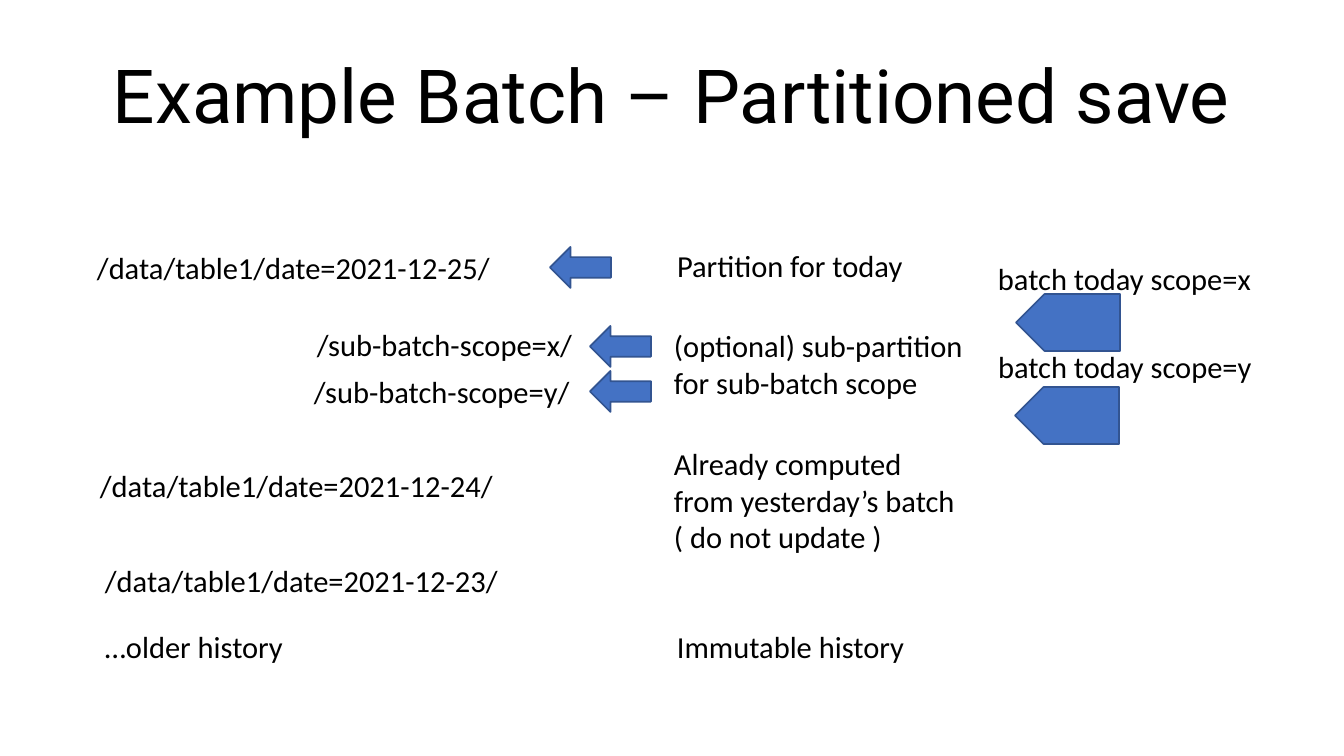
from pptx import Presentation
from pptx.dml.color import RGBColor
from pptx.enum.shapes import MSO_SHAPE
from pptx.enum.text import MSO_ANCHOR, MSO_AUTO_SIZE, PP_ALIGN
from pptx.util import Pt

EMU_PER_PX = 7495
LEFT_ARROW = MSO_SHAPE.LEFT_ARROW
PENTAGON = MSO_SHAPE.PENTAGON
MIDDLE = MSO_ANCHOR.MIDDLE
TOP = MSO_ANCHOR.TOP
NO_AUTOFIT = MSO_AUTO_SIZE.NONE
CENTER = PP_ALIGN.CENTER
LEFT = PP_ALIGN.LEFT

COLORS = {"text": "000000", "fill": "4472C4", "line": "325491"}
TITLE_FONT = {"name": "Roboto", "size": Pt(44)}
LABEL_FONT = {"name": "Calibri", "size": Pt(18)}
TITLE_FRAME = {
    "margin_left": 0, "margin_right": 0, "margin_top": 0, "margin_bottom": 0,
    "vertical_anchor": MIDDLE, "auto_size": NO_AUTOFIT, "word_wrap": True,
}
LABEL_FRAME = {"vertical_anchor": TOP, "auto_size": NO_AUTOFIT, "word_wrap": True}

LABELS = [
    (85, 243, 422, 49, ["/data/table1/date=2021-12-25/"]),
    (305, 320, 295, 49, ["/sub-batch-scope=x/"]),
    (302, 367, 307, 49, ["/sub-batch-scope=y/"]),
    (88, 461, 422, 49, ["/data/table1/date=2021-12-24/"]),
    (93, 556, 422, 49, ["/data/table1/date=2021-12-23/"]),
    (93, 622, 205, 49, ["…older history"]),
    (665, 241, 448, 49, ["Partition for today"]),
    (662, 321, 448, 87, ["(optional) sub-partition\nfor sub-batch scope"]),
    (662, 439, 625, 123, ["Already computed\nfrom yesterday’s batch", "( do not update )"]),
    (665, 622, 625, 49, ["Immutable history"]),
    (986, 254, 281, 49, ["batch today scope=x"]),
    (986, 342, 282, 49, ["batch today scope=y"]),
]
PARTITION_ARROWS = [(550, 247), (590, 326), (590, 371)]
BATCH_MARKERS = [(1016, 294), (1015, 387)]


def px(*lengths):
    """Turn pixel lengths into EMU."""
    return [n * EMU_PER_PX for n in lengths]


def rgb(name):
    """Look up a named colour."""
    return RGBColor.from_string(COLORS[name])


def set_attrs(obj, values):
    """Set every attribute in a dict of format values."""
    for key, value in values.items():
        setattr(obj, key, value)


def write_text(tf, paragraphs, frame, font, align):
    """Fill a text frame with formatted paragraphs."""
    set_attrs(tf, frame)
    for i, text in enumerate(paragraphs):
        p = tf.add_paragraph() if i else tf.paragraphs[0]
        p.text = text
        p.alignment = align
        for r in p.runs:
            set_attrs(r.font, font)
            r.font.color.rgb = rgb("text")


def add_title(s, text):
    """Place and format the slide title."""
    sp = s.shapes.title
    sp.left, sp.top, sp.width, sp.height = px(67, 30, 1210, 127)
    write_text(sp.text_frame, [text], TITLE_FRAME, TITLE_FONT, CENTER)


def add_label(s, x, y, w, h, paragraphs):
    """Add a text box with a left-aligned label."""
    sp = s.shapes.add_textbox(*px(x, y, w, h))
    write_text(sp.text_frame, paragraphs, LABEL_FRAME, LABEL_FONT, LEFT)


def add_pointer(s, kind, x, y, w, h, rotation=0):
    """Add a filled shape that points left."""
    sp = s.shapes.add_shape(kind, *px(x, y, w, h))
    sp.rotation = rotation
    sp.shadow.inherit = False
    sp.fill.solid()
    sp.fill.fore_color.rgb = rgb("fill")
    sp.line.color.rgb = rgb("line")
    sp.line.width = Pt(1)


def main():
    """Build the slide and save it."""
    prs = Presentation()
    prs.slide_width, prs.slide_height = px(1344, 756)
    s = prs.slides.add_slide(prs.slide_layouts[5])
    add_title(s, "Example Batch – Partitioned save")
    for x, y in BATCH_MARKERS:
        add_pointer(s, PENTAGON, x, y, 104, 57, rotation=180)
    for x, y in PARTITION_ARROWS:
        add_pointer(s, LEFT_ARROW, x, y, 61, 41)
    for label in LABELS:
        add_label(s, *label)
    prs.save("out.pptx")


if __name__ == "__main__":
    main()
